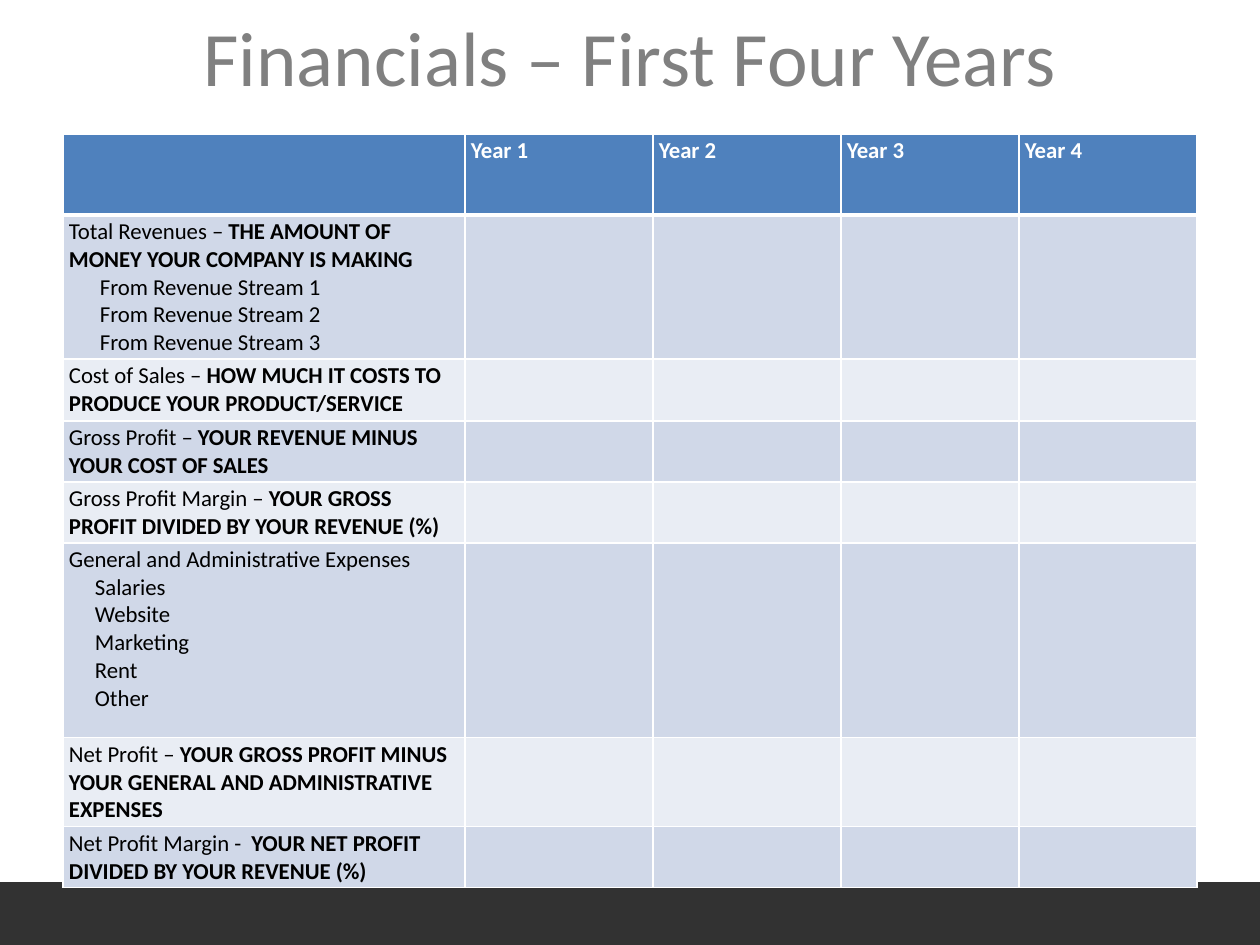
from lxml import etree
from pptx import Presentation
from pptx.dml.color import RGBColor
from pptx.enum.shapes import MSO_SHAPE
from pptx.enum.text import MSO_ANCHOR, PP_ALIGN
from pptx.oxml.ns import qn
from pptx.util import Emu, Pt

RECTANGLE = MSO_SHAPE.RECTANGLE
MIDDLE = MSO_ANCHOR.MIDDLE
CENTER = PP_ALIGN.CENTER

PIXEL = 914400 // 126
FONT = "Calibri"
COLORS = {
    "bar": "323232", "title": "808080", "header": "4F81BD",
    "dark_band": "D0D8E8", "light_band": "E9EDF4",
    "white": "FFFFFF", "black": "000000",
}
CELL_MARGINS = {"margin_left": 6, "margin_right": 6, "margin_top": 3, "margin_bottom": 3}

COLUMN_WIDTHS = [402, 188, 188, 178, 178]
HEADER_HEIGHT = 81
YEARS = ["Year 1", "Year 2", "Year 3", "Year 4"]
# Each row: height, plain label, bold explanation, indented items, indent
ROWS = [
    (144, "Total Revenues – ", "THE AMOUNT OF MONEY YOUR COMPANY IS MAKING",
     ["From Revenue Stream 1", "From Revenue Stream 2", "From Revenue Stream 3"], 31),
    (62, "Cost of Sales – ", "HOW MUCH IT COSTS TO PRODUCE YOUR PRODUCT/SERVICE", [], 0),
    (61, "Gross Profit – ", "YOUR REVENUE MINUS YOUR COST OF SALES", [], 0),
    (61, "Gross Profit Margin – ", "YOUR GROSS PROFIT DIVIDED BY YOUR REVENUE (%)", [], 0),
    (195, "General and Administrative Expenses", "",
     ["Salaries", "Website", "Marketing", "Rent", "Other"], 26),
    (89, "Net Profit – ",
     "YOUR GROSS PROFIT MINUS YOUR GENERAL AND ADMINISTRATIVE EXPENSES", [], 0),
    (61, "Net Profit Margin -  ", "YOUR NET PROFIT DIVIDED BY YOUR REVENUE (%)", [], 0),
]


def px(*lengths):
    """Turn pixel lengths into EMU."""
    return [Emu(length * PIXEL) for length in lengths]


def rgb(name):
    """Look up a named colour."""
    return RGBColor.from_string(COLORS[name])


def add_span(para, text, size, color, bold=False):
    """Add one formatted run to a paragraph."""
    span = para.add_run()
    span.text = text
    for name, value in {"name": FONT, "size": Pt(size), "bold": bold}.items():
        setattr(span.font, name, value)
    span.font.color.rgb = rgb(color)


def add_bar(page):
    """Draw the dark footer bar."""
    bar = page.shapes.add_shape(RECTANGLE, *px(0, 882, 1260, 69))
    bar.shadow.inherit = False
    bar.fill.solid()
    bar.fill.fore_color.rgb = rgb("bar")
    bar.line.fill.background()


def add_title(page, text):
    """Add the centred slide title."""
    box = page.shapes.add_textbox(*px(63, -23, 1134, 157))
    for name, value in {"word_wrap": True, "vertical_anchor": MIDDLE}.items():
        setattr(box.text_frame, name, value)
    para = box.text_frame.paragraphs[0]
    para.alignment = CENTER
    add_span(para, text, 44, "title")


def style_cell(cell, color, top=1, bottom=1):
    """Set the margins, white borders and fill of a cell."""
    for name, value in CELL_MARGINS.items():
        setattr(cell, name, px(value)[0])
    properties = cell._tc.get_or_add_tcPr()
    for side, width in {"L": 1, "R": 1, "T": top, "B": bottom}.items():
        line = etree.SubElement(properties, qn(f"a:ln{side}"), w=str(Pt(width)))
        fill = etree.SubElement(line, qn("a:solidFill"))
        etree.SubElement(fill, qn("a:srgbClr"), val=COLORS["white"])
    cell.fill.solid()
    cell.fill.fore_color.rgb = rgb(color)


def fill_label(cell, label, explanation, items, indent):
    """Write a row label, its explanation and its indented items."""
    para = cell.text_frame.paragraphs[0]
    add_span(para, label, 13, "black")
    if explanation:
        add_span(para, explanation, 13, "black", bold=True)
    for item in items:
        para = cell.text_frame.add_paragraph()
        para._p.get_or_add_pPr().set("marL", str(px(indent)[0]))
        add_span(para, item, 13, "black")


def add_financials(page):
    """Build the table of financials by year."""
    heights = [HEADER_HEIGHT] + [row[0] for row in ROWS]
    frame = page.shapes.add_table(len(heights), len(COLUMN_WIDTHS),
                                  *px(63, 134, sum(COLUMN_WIDTHS), sum(heights)))
    table = frame.table
    for column, width in zip(table.columns, px(*COLUMN_WIDTHS)):
        column.width = width
    for row, height in zip(table.rows, px(*heights)):
        row.height = height

    for cell in table.rows[0].cells:
        style_cell(cell, "header", bottom=3)
    for column, year in enumerate(YEARS, 1):
        para = table.cell(0, column).text_frame.paragraphs[0]
        add_span(para, year, 13, "white", bold=True)

    for index, (_, *content) in enumerate(ROWS, 1):
        band = "dark_band" if index % 2 else "light_band"
        for cell in table.rows[index].cells:
            style_cell(cell, band, top=3 if index == 1 else 1)
        fill_label(table.cell(index, 0), *content)


def main():
    """Build and save the slide."""
    deck = Presentation()
    deck.slide_width, deck.slide_height = px(1260, 945)
    page = deck.slides.add_slide(deck.slide_layouts[6])
    add_bar(page)
    add_title(page, "Financials – First Four Years")
    add_financials(page)
    deck.save("out.pptx")


main()
